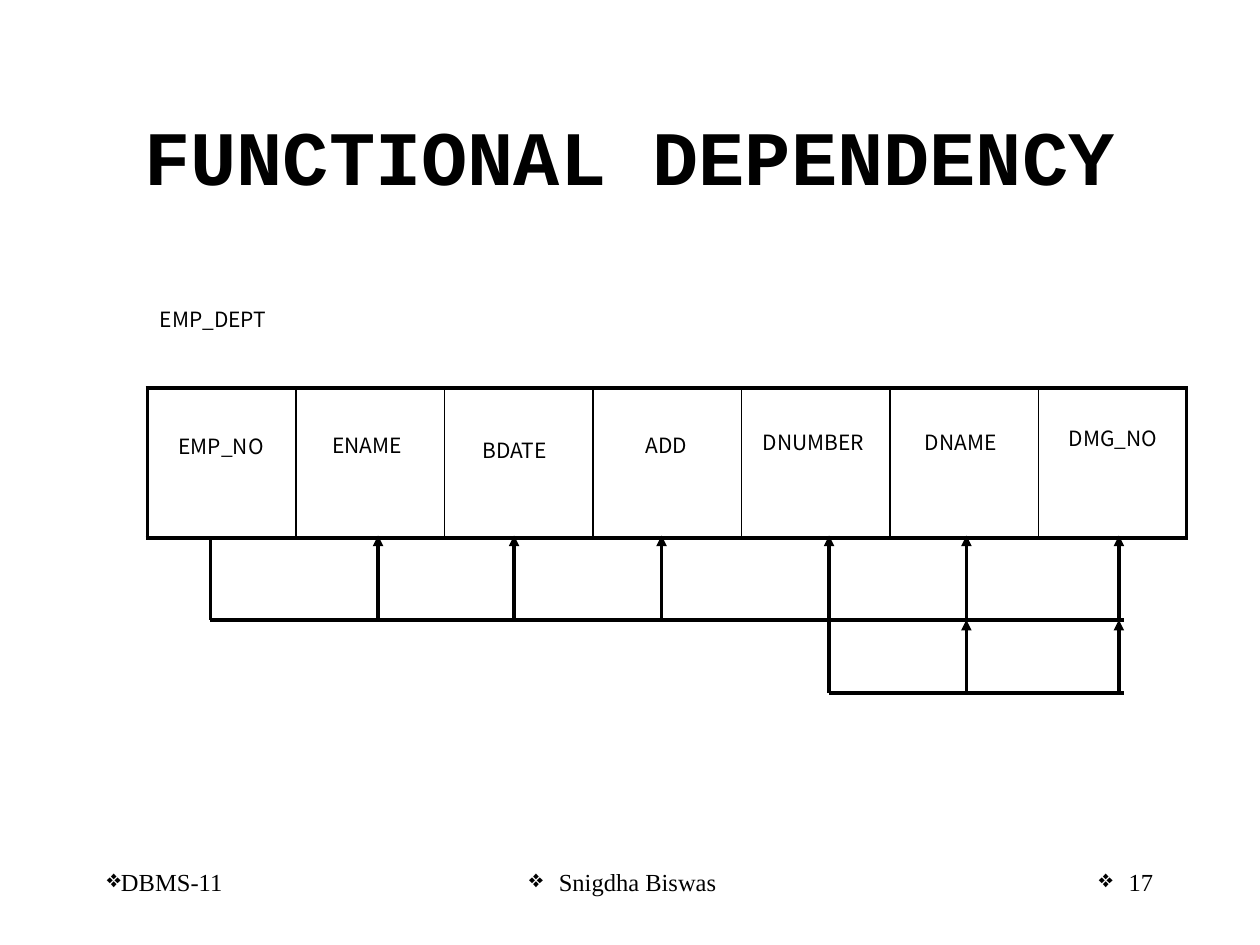
from lxml.etree import SubElement
from pptx import Presentation
from pptx.dml.color import RGBColor
from pptx.enum.shapes import MSO_CONNECTOR
from pptx.enum.text import MSO_ANCHOR, PP_ALIGN
from pptx.oxml.ns import qn
from pptx.util import Inches, Pt

COLORS = {"ink": "000000"}
TITLE = "FUNCTIONAL DEPENDENCY"
LABEL_FONT, FOOTER_FONT = "Noto Sans CJK KR", "Times New Roman"

# Text, left, top, width
LABELS = [
    ("EMP_DEPT", 0.4, 2.38, 2.58),
    ("EMP_NO", 1.17, 3.39, 1.17),
    ("ENAME", 2.33, 3.38, 1.17),
    ("BDATE", 3.5, 3.42, 1.17),
    ("ADD", 4.75, 3.38, 1.08),
    ("DNUMBER", 5.83, 3.36, 1.25),
    ("DNAME", 7, 3.36, 1.25),
    ("DMG_NO", 8.25, 3.33, 1.17),
]
FOOTERS = [
    ("DBMS-11", 0.75, 2.08, PP_ALIGN.LEFT),
    ("Snigdha Biswas", 3.42, 3.17, PP_ALIGN.CENTER),
    ("17", 7.17, 2.08, PP_ALIGN.RIGHT),
]
# Determinant x, dependent xs, bar y, arrow tip y
DEPENDENCIES = [
    (1.67, [3, 4.08, 5.25, 6.58, 7.67, 8.88], 4.92, 4.25),
    (6.58, [7.67, 8.88], 5.5, 4.92),
]
BAR_END = 8.92
TABLE = (1.17, 3.08, 8.25, 1.19)
COLUMNS = 7


def ink():
    return RGBColor.from_string(COLORS["ink"])


def add_run(p, text, font, size, bold=False):
    r = p.add_run()
    r.text = text
    r.font.name, r.font.size, r.font.bold = font, Pt(size), bold
    r.font.color.rgb = ink()


def add_text(s, text, box, font, size, align):
    tf = s.shapes.add_textbox(*map(Inches, box)).text_frame
    tf.word_wrap = True
    p = tf.paragraphs[0]
    p.alignment = align
    add_run(p, text, font, size)
    return p


def add_line(s, x1, y1, x2, y2, arrow=False):
    line = s.shapes.add_connector(MSO_CONNECTOR.STRAIGHT, *map(Inches, (x1, y1, x2, y2)))
    line.line.color.rgb = ink()
    line.line.width = Pt(2)
    if arrow:
        SubElement(line.line._get_or_add_ln(), qn("a:tailEnd"), type="triangle")
    SubElement(line._element.spPr, qn("a:effectLst"))


def set_borders(cell, widths):
    tcPr = cell._tc.get_or_add_tcPr()
    for side, width in widths.items():
        ln = SubElement(tcPr, qn(f"a:ln{side}"), w=str(Pt(width)))
        fill = SubElement(ln, qn("a:solidFill"))
        SubElement(fill, qn("a:srgbClr"), val=COLORS["ink"])


prs = Presentation()
prs.slide_width, prs.slide_height = Inches(10), Inches(7.5)
s = prs.slides.add_slide(prs.slide_layouts[5])

# Title
title = s.shapes.title
title.left, title.top, title.width, title.height = map(Inches, (0.75, 0.6, 8.5, 1.25))
tf = title.text_frame
tf.vertical_anchor = MSO_ANCHOR.MIDDLE
tf.paragraphs[0].alignment = PP_ALIGN.CENTER
add_run(tf.paragraphs[0], TITLE, "Courier New", 44, True)

# Relation table: thick outer frame, thin dividers
table = s.shapes.add_table(1, COLUMNS, *map(Inches, TABLE)).table
table.first_row = table.horz_banding = False
for i in range(COLUMNS):
    cell = table.cell(0, i)
    set_borders(cell, {"L": 2.25 if i == 0 else 1,
                       "R": 2.25 if i == COLUMNS - 1 else 1,
                       "T": 2.25, "B": 2.25})
    cell.fill.background()

# Relation name and attribute names
for text, left, top, width in LABELS:
    add_text(s, text, (left, top, width, 0.3), LABEL_FONT, 12, PP_ALIGN.CENTER)

# Dependencies: a bar, a plain stem at the determinant, arrows to dependents
for source, targets, bar, tip in DEPENDENCIES:
    add_line(s, source, bar, BAR_END, bar)
    add_line(s, source, bar, source, tip)
    for x in targets:
        add_line(s, x, bar, x, tip, arrow=True)

# Footer with diamond bullets
for text, left, width, align in FOOTERS:
    p = add_text(s, text, (left, 6.83, width, 0.5), FOOTER_FONT, 14, align)
    SubElement(p._p.get_or_add_pPr(), qn("a:buChar"), char="❖")

prs.save("out.pptx")
